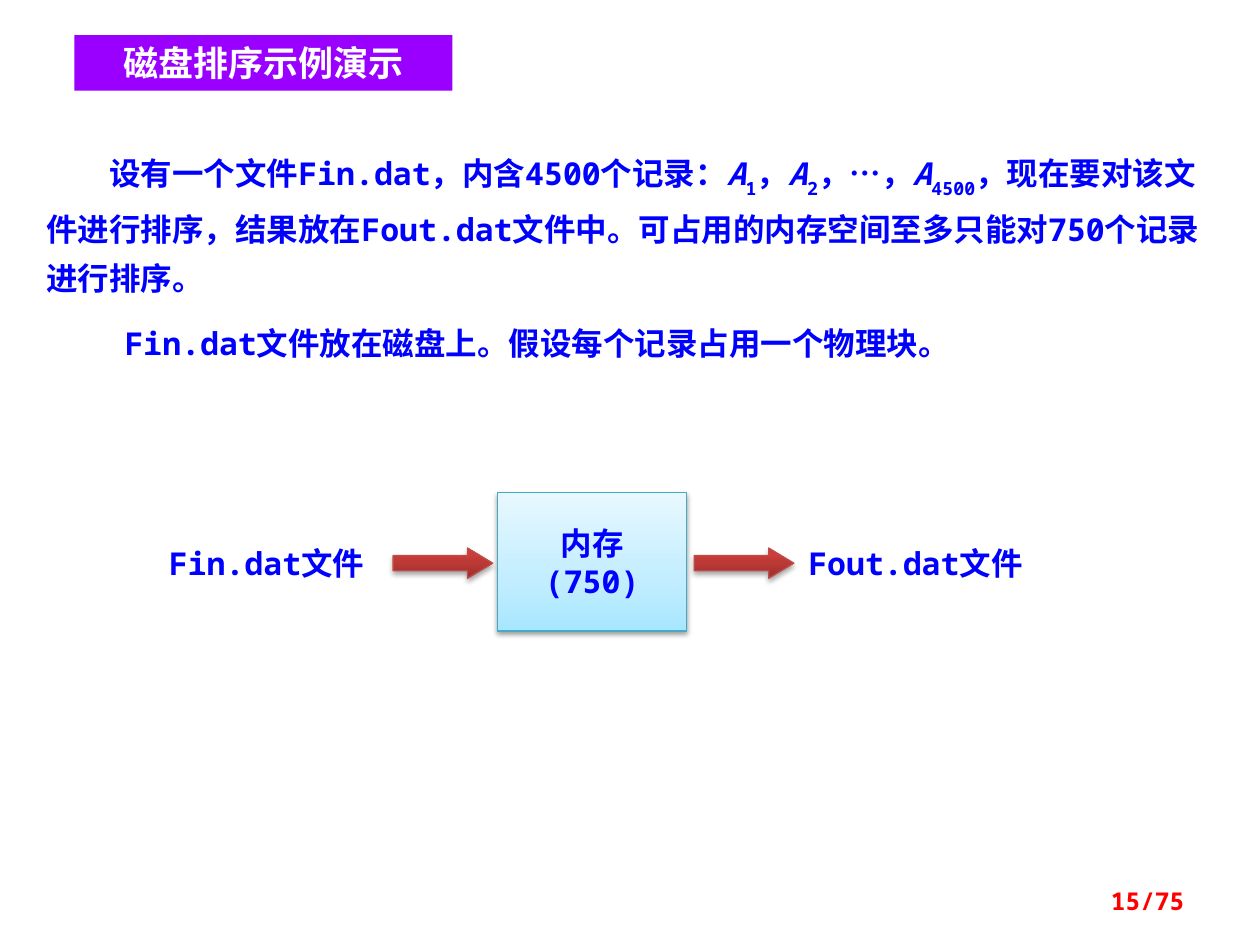
from dataclasses import dataclass

from lxml.etree import SubElement
from pptx import Presentation
from pptx.dml.color import RGBColor
from pptx.enum.shapes import MSO_SHAPE as Shape
from pptx.enum.text import MSO_ANCHOR as Anchor, MSO_AUTO_SIZE as Fit, PP_ALIGN as Align
from pptx.oxml.ns import qn
from pptx.util import Inches, Pt


@dataclass(frozen=True)
class Theme:
    """Fonts, type sizes in points and colours."""
    mono: str = "Noto Sans Mono"
    cjk: str = "Noto Sans CJK SC"
    title_size: int = 20
    body_size: int = 18
    page_size: int = 14
    title_fill: str = "9900FF"
    title_text: str = "FFFFFF"
    body_text: str = "0000FF"
    page_text: str = "FF0000"
    memory_stops: tuple = ((0, "A7E6FF"), (35, "C1EDFF"), (100, "E7F8FF"))
    memory_line: str = "46AAC5"
    memory_shadow: tuple = (38, 1.6)
    arrow_stops: tuple = ((0, "9C2F2D"), (80, "CB3E3A"), (100, "CE3B37"))
    arrow_line: str = "BF4C48"
    arrow_shadow: tuple = (35, 1.8)


@dataclass(frozen=True)
class Box:
    """A region on a grid of 100 columns by 75 rows."""
    x: float
    y: float
    w: float
    h: float

    def inner(self, x, y, w, h):
        """Return a box placed relative to this one."""
        return Box(self.x + x, self.y + y, w, h)

    def emu(self):
        """Return left, top, width and height as slide lengths."""
        return [Inches(v / 10) for v in (self.x, self.y, self.w, self.h)]


T = Theme()


def add_run(p, text, size=T.body_size, color=T.body_text, font=T.mono,
            italic=False, base=0):
    """Add one bold run to a paragraph."""
    r = p.add_run()
    r.text = text
    f = r.font
    f.name, f.size, f.bold, f.italic = font, Pt(size), True, italic
    f.color.rgb = RGBColor.from_string(color)
    rPr = r._r.get_or_add_rPr()
    SubElement(rPr, qn("a:ea"), typeface=T.cjk)
    if base:
        rPr.set("baseline", str(base * 1000))


def add_text(s, box):
    """Add a wrapping text box and return its frame."""
    tf = s.shapes.add_textbox(*box.emu()).text_frame
    tf.word_wrap = True
    return tf


def add_glossy(s, kind, box, stops, line, shadow):
    """Add a shape with an upward gradient and a soft shadow below."""
    sp = s.shapes.add_shape(kind, *box.emu())
    sp.fill.gradient()
    sp.fill.gradient_angle = 90
    sp.line.color.rgb = RGBColor.from_string(line)
    sp.line.width = Pt(0.75)
    sp.shadow.inherit = False
    spPr = sp._element.spPr
    gs_list = spPr.find(".//" + qn("a:gsLst"))
    for old in list(gs_list):
        gs_list.remove(old)
    for pos, color in stops:
        gs = SubElement(gs_list, qn("a:gs"), pos=str(pos * 1000))
        SubElement(gs, qn("a:srgbClr"), val=color)
    alpha, dist = shadow
    outer = SubElement(spPr.find(qn("a:effectLst")), qn("a:outerShdw"),
                       blurRad=str(Pt(3.1)), dist=str(Pt(dist)),
                       dir="5400000", rotWithShape="0")
    black = SubElement(outer, qn("a:srgbClr"), val="000000")
    SubElement(black, qn("a:alpha"), val=str(alpha * 1000))
    return sp


def add_title(s, box):
    """Place the title banner."""
    sp = s.shapes.add_shape(Shape.RECTANGLE, *box.emu())
    sp.shadow.inherit = False
    sp.fill.solid()
    sp.fill.fore_color.rgb = RGBColor.from_string(T.title_fill)
    sp.line.fill.background()
    tf = sp.text_frame
    tf.auto_size, tf.vertical_anchor = Fit.SHAPE_TO_FIT_TEXT, Anchor.TOP
    p = tf.paragraphs[0]
    p.alignment = Align.CENTER
    add_run(p, "磁盘排序示例演示", T.title_size, T.title_text, T.cjk)


def add_problem(s, box):
    """Place the two paragraphs that state the problem."""
    tf = add_text(s, box)
    tf.auto_size = Fit.SHAPE_TO_FIT_TEXT
    first, second = tf.paragraphs[0], tf.add_paragraph()
    for p, indent in ((first, 0.5), (second, 0.62)):
        p.line_spacing = 1.3
        p._p.get_or_add_pPr().set("indent", str(Inches(indent)))
    second.space_before = Pt(T.body_size / 2)
    add_run(first, "设有一个文件Fin.dat，内含4500个记录：")
    for index, after in (("1", "，"), ("2", "，"), ("4500", "")):
        if not after:
            add_run(first, "…", font=T.cjk)
            add_run(first, "，")
        add_run(first, "A", italic=True)
        add_run(first, index, base=-30)
        if after:
            add_run(first, after)
    add_run(first, "，现在要对该文件进行排序，结果放在Fout.dat文件中。"
                   "可占用的内存空间至多只能对750个记录进行排序。")
    add_run(second, "Fin.dat文件放在磁盘上。假设每个记录占用一个物理块。")


def add_flow(s, box):
    """Place the memory block between the input and output files."""
    memory = add_glossy(s, Shape.RECTANGLE, box.inner(28.6, 0, 15, box.h),
                        T.memory_stops, T.memory_line, T.memory_shadow)
    tf = memory.text_frame
    tf.word_wrap, tf.vertical_anchor = False, Anchor.MIDDLE
    for p, text in ((tf.paragraphs[0], "内存"), (tf.add_paragraph(), "(750)")):
        p.alignment = Align.CENTER
        add_run(p, text)
    axis = box.h / 2 + 0.1
    for x in (20.3, 44.2):
        arrow = add_glossy(s, Shape.RIGHT_ARROW, box.inner(x, axis - 1.2, 7.9, 2.4),
                           T.arrow_stops, T.arrow_line, T.arrow_shadow)
        arrow.adjustments[0], arrow.adjustments[1] = 0.5, 0.83
    for x, text in ((0, "Fin.dat文件"), (51.5, "Fout.dat文件")):
        tf = add_text(s, box.inner(x, axis - 2, 20.5, 4))
        tf.auto_size = Fit.SHAPE_TO_FIT_TEXT
        p = tf.paragraphs[0]
        p.alignment = Align.CENTER
        add_run(p, text)


def add_page_number(s, box):
    """Place the page count at the lower right."""
    tf = add_text(s, box)
    tf.vertical_anchor = Anchor.MIDDLE
    p = tf.paragraphs[0]
    p.alignment = Align.RIGHT
    add_run(p, "15/75", T.page_size, T.page_text)


def main():
    """Build the slide and save it."""
    prs = Presentation()
    prs.slide_width, prs.slide_height = Inches(10), Inches(7.5)
    s = prs.slides.add_slide(prs.slide_layouts[6])
    add_problem(s, Box(2.7, 10.7, 94.5, 18.3))
    add_title(s, Box(5.9, 2.8, 30, 4.4))
    add_flow(s, Box(10.9, 39.1, 72, 11))
    add_page_number(s, Box(71.7, 69.5, 23.3, 4))
    prs.save("out.pptx")


if __name__ == "__main__":
    main()
